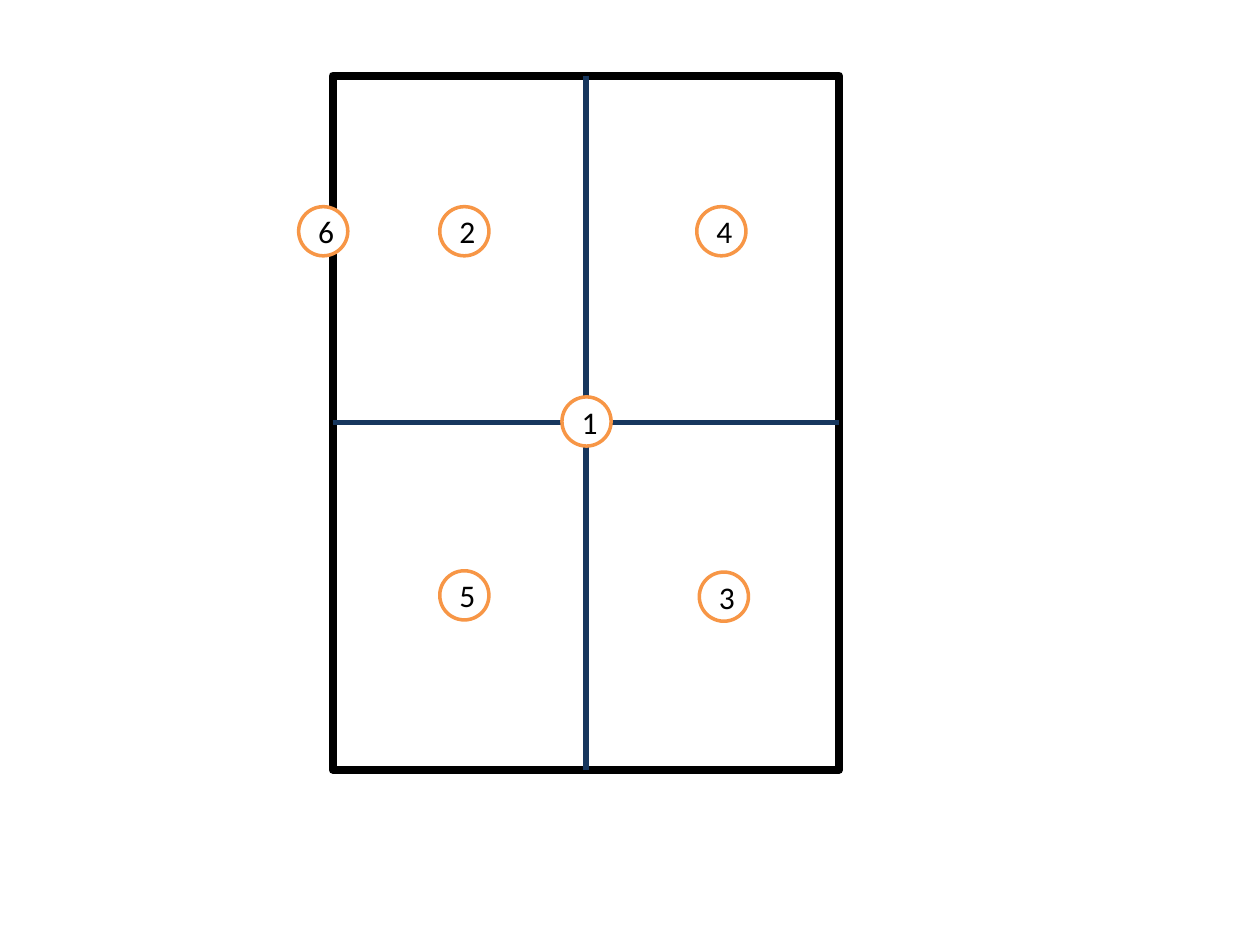
from typing import NamedTuple

import pptx
import pptx.dml.color
import pptx.enum.shapes
import pptx.enum.text
import pptx.oxml.ns
import pptx.util
from lxml import etree
from pptx.util import Inches

BLACK = pptx.dml.color.RGBColor(0x00, 0x00, 0x00)
WHITE = pptx.dml.color.RGBColor(0xFF, 0xFF, 0xFF)
NAVY = pptx.dml.color.RGBColor(0x17, 0x37, 0x5E)
ORANGE = pptx.dml.color.RGBColor(0xF7, 0x96, 0x46)

# Frame and marker sizes, in inches
LEFT, TOP, WIDTH, HEIGHT = 2.64, 0.6, 4.02, 5.51
MIDDLE_X = LEFT + WIDTH / 2
MIDDLE_Y = TOP + HEIGHT / 2
DIAMETER = 0.39


class Marker(NamedTuple):
    label: str
    left: float
    top: float


MARKERS = [
    Marker("1", 4.46, 3.15),
    Marker("2", 3.49, 1.64),
    Marker("3", 5.55, 4.54),
    Marker("4", 5.53, 1.64),
    Marker("5", 3.49, 4.53),
    Marker("6", 2.37, 1.64),
]


def add_outlined(slide, kind, left: float, top: float, width: float, height: float,
                 color, weight: float):
    shape = slide.shapes.add_shape(
        kind, Inches(left), Inches(top), Inches(width), Inches(height))
    shape.shadow.inherit = False
    shape.fill.solid()
    shape.fill.fore_color.rgb = WHITE
    shape.line.color.rgb = color
    shape.line.width = pptx.util.Pt(weight)
    return shape


def add_divider(slide, x1: float, y1: float, x2: float, y2: float) -> None:
    divider = slide.shapes.add_connector(
        pptx.enum.shapes.MSO_CONNECTOR.STRAIGHT,
        Inches(x1), Inches(y1), Inches(x2), Inches(y2))
    divider.line.color.rgb = NAVY
    divider.line.width = pptx.util.Pt(3)
    etree.SubElement(divider.element.spPr, pptx.oxml.ns.qn("a:effectLst"))


def add_marker(slide, marker: Marker) -> None:
    circle = add_outlined(slide, pptx.enum.shapes.MSO_SHAPE.OVAL, marker.left,
                          marker.top, DIAMETER, DIAMETER, ORANGE, 2)
    circle.text_frame.vertical_anchor = pptx.enum.text.MSO_ANCHOR.MIDDLE
    para = circle.text_frame.paragraphs[0]
    para.text = marker.label
    para.alignment = pptx.enum.text.PP_ALIGN.CENTER
    para.font.name = "Calibri"
    para.font.size = pptx.util.Pt(18)
    para.font.color.rgb = BLACK


deck = pptx.Presentation()
deck.slide_width = Inches(10)
deck.slide_height = Inches(7.5)
page = deck.slides.add_slide(deck.slide_layouts.get_by_name("Blank"))

# Frame with its four quarters
add_outlined(page, pptx.enum.shapes.MSO_SHAPE.RECTANGLE,
             LEFT, TOP, WIDTH, HEIGHT, BLACK, 4.5)
add_divider(page, MIDDLE_X, TOP, MIDDLE_X, TOP + HEIGHT)
add_divider(page, LEFT, MIDDLE_Y, LEFT + WIDTH, MIDDLE_Y)

# Numbered markers
for marker in MARKERS:
    add_marker(page, marker)

deck.save("out.pptx")
